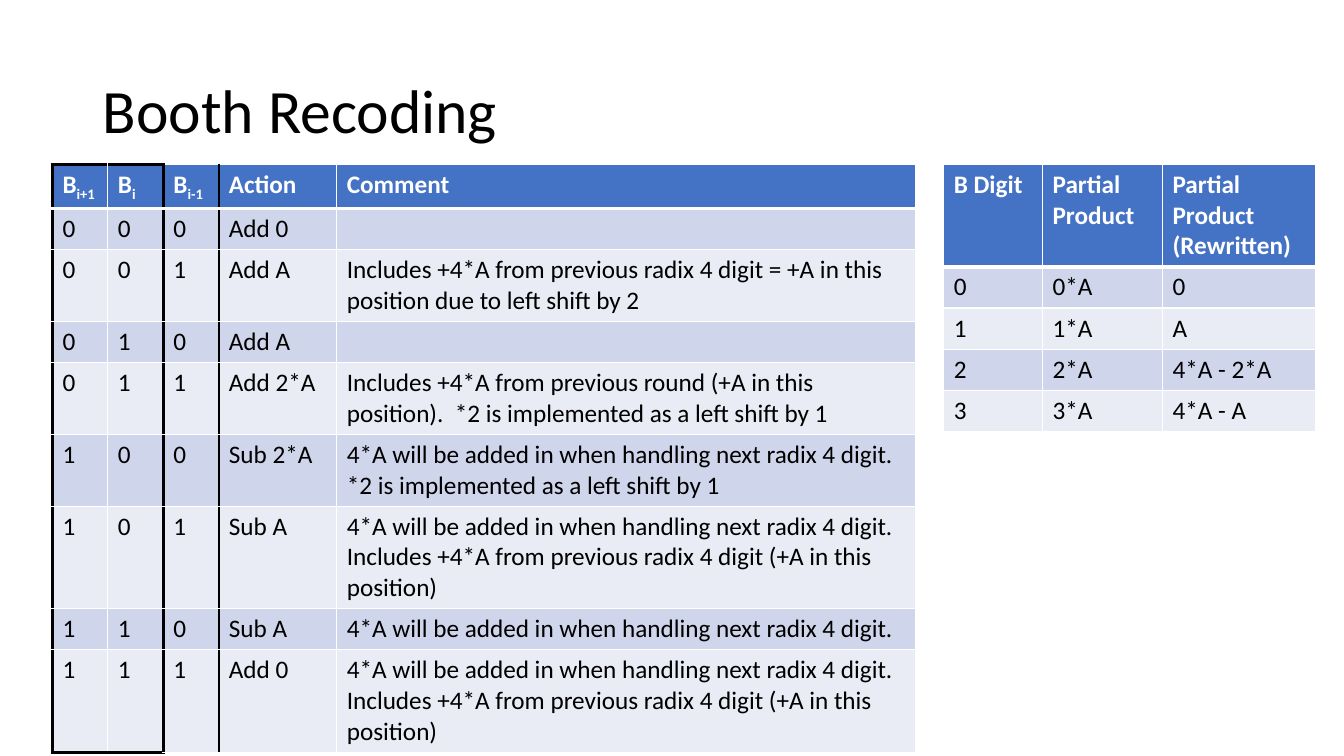
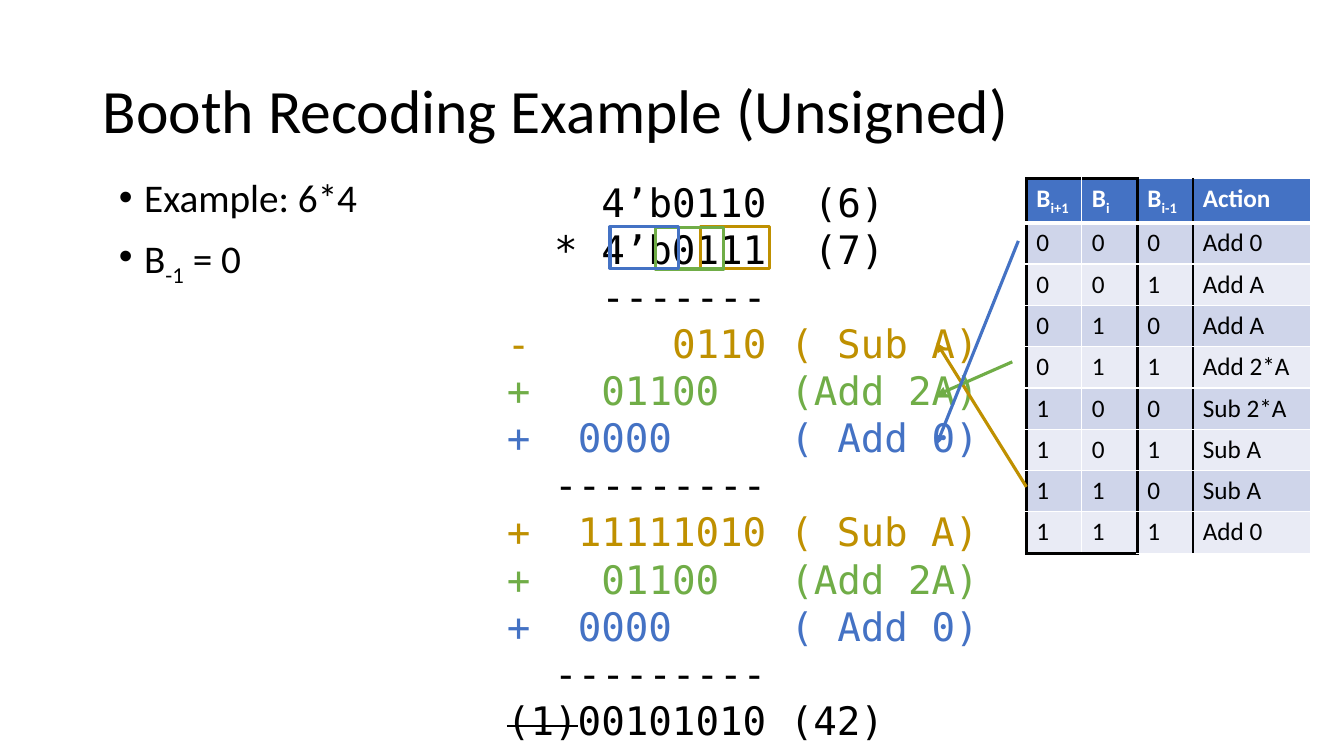
from lxml import etree
from pptx import Presentation
from pptx import util as u
from pptx.dml import color
from pptx.enum import shapes, text
from pptx.oxml import ns

# Shared look
BLACK, WHITE = "000000", "FFFFFF"
BLUE, GREEN, GOLD = "4472C4", "70AD47", "BF9000"
BANDS = ["CFD5EA", "E9EBF5"]
SANS, MONO = "Calibri", "DejaVu Sans Mono"
ROW = 0.41
SUB = ("baseline", "-25000")
STRIKE = ("strike", "sngStrike")

# Content: text between bars is set as subscript or struck out
HEADS = ["B|i+1|", "B|i|", "B|i-1|", "Action", "Comment"]
ACTIONS = ["Add 0", "Add A", "Add A", "Add 2*A",
           "Sub 2*A", "Sub A", "Sub A", "Add 0"]
NEXT = "4*A will be added in when handling next radix 4 digit."
PRIOR = "Includes +4*A from previous radix 4 digit"
SHIFT = "*2 is implemented as a left shift by 1"
NOTES = [
    "",
    f"{PRIOR} = +A in this position due to left shift by 2",
    "",
    f"Includes +4*A from previous round (+A in this position).  {SHIFT}",
    f"{NEXT}  {SHIFT}",
    f"{NEXT}  {PRIOR} (+A in this position)",
    NEXT,
    f"{NEXT} {PRIOR} (+A in this position)",
]
BOOTH = [HEADS] + [[*f"{n:03b}", act, note]
                   for n, (act, note) in enumerate(zip(ACTIONS, NOTES))]
WIDTHS = [0.55, 0.55, 0.55, 1.17, 5.74]
DIGITS = [
    ["B Digit", "Partial Product", "Partial Product (Rewritten)"],
    ["0", "0*A", "0"],
    ["1", "1*A", "A"],
    ["2", "2*A", "4*A - 2*A"],
    ["3", "3*A", "4*A - A"],
]
POINTS = ["Example: 6*4", "B|-1| = 0"]

# Worked sum: colour, then each piece with its character column
RULE = (BLACK, (2, "---------"))
ADD_TWO = (GREEN, (0, "+"), (4, "01100"), (12, "(Add 2A)"))
ADD_NONE = (BLUE, (0, "+"), (3, "0000"), (12, "( Add 0)"))
SUM = [
    (BLACK, (4, "4’b0110"), (13, "(6)")),
    (BLACK, (2, "* 4’b0111"), (13, "(7)")),
    (BLACK, (4, "-------")),
    (GOLD, (0, "-"), (7, "0110 ( Sub A)")),
    ADD_TWO,
    ADD_NONE,
    RULE,
    (GOLD, (0, "+"), (3, "11111010 ( Sub A)")),
    ADD_TWO,
    ADD_NONE,
    RULE,
    (BLACK, (0, "|(1)|00101010 (42)")),
]
FRAMES = [(GOLD, 6.95, 2.25), (GREEN, 6.5, 2.26), (BLUE, 6.05, 2.25)]
ARROWS = [(GOLD, 10.18, 4.83, 3.4), (GREEN, 10.04, 3.59, 3.92),
          (BLUE, 10.1, 2.39, 4.41)]
TIP = 9.29


def rgb(code):
    return color.RGBColor.from_string(code)


def inches(*nums):
    return [u.Inches(n) for n in nums]


def place(shape, *box):
    shape.left, shape.top, shape.width, shape.height = inches(*box)


def write(par, line, size, tone=BLACK, face=SANS, bold=False, mark=SUB):
    for n, part in enumerate(line.split("|")):
        if not part:
            continue
        run = par.add_run()
        run.text = part
        font = run.font
        font.size, font.name, font.bold = u.Pt(size), face, bold
        font.color.rgb = rgb(tone)
        if n % 2:
            run._r.get_or_add_rPr().set(*mark)


def start(layout, title):
    slide = deck.slides.add_slide(deck.slide_layouts[layout])
    head = slide.shapes.title
    place(head, 0.92, 0.4, 11.5, 1.45)
    frame = head.text_frame
    frame.auto_size = text.MSO_AUTO_SIZE.NONE
    frame.vertical_anchor = text.MSO_ANCHOR.MIDDLE
    par = frame.paragraphs[0]
    par.alignment, par.line_spacing = text.PP_ALIGN.LEFT, 0.9
    write(par, title, 44)
    return slide


# Table edges: a black box marks the first two columns of a Booth table
def upright(line, boxed):
    if boxed and line in (0, 2):
        return BLACK, 2.25
    return (BLACK, 1.5) if boxed and line == 3 else (WHITE, 1)


def level(line, col, last, boxed):
    if line == 1:
        return WHITE, 3
    if boxed and col < 2 and line in (0, last):
        return BLACK, 2.25
    return WHITE, 1


def edge(cell, sides):
    props = cell._tc.get_or_add_tcPr()
    for n, (side, (tone, width)) in enumerate(sides.items()):
        line = etree.Element(ns.qn(f"a:ln{side}"), w=str(u.Pt(width)))
        fill = etree.SubElement(line, ns.qn("a:solidFill"))
        etree.SubElement(fill, ns.qn("a:srgbClr"), val=tone)
        props.insert(n, line)


def grid(slide, left, top, rows, widths, boxed=False):
    last = len(rows)
    table = slide.shapes.add_table(
        last, len(widths),
        *inches(left, top, sum(widths), ROW * last)).table
    for col, width in zip(table.columns, widths):
        col.width = u.Inches(width)
    for r, row in enumerate(rows):
        table.rows[r].height = u.Inches(ROW)
        for c, words in enumerate(row[:len(widths)]):
            cell = table.cell(r, c)
            cell.fill.solid()
            cell.fill.fore_color.rgb = rgb(BANDS[(r - 1) % 2] if r else BLUE)
            write(cell.text_frame.paragraphs[0], words, 18,
                  BLACK if r else WHITE, bold=not r)
            edge(cell, {"L": upright(c, boxed),
                        "R": upright(c + 1, boxed),
                        "T": level(r, c, last, boxed),
                        "B": level(r + 1, c, last, boxed)})


def stroke(shape, tone):
    shape.line.color.rgb = rgb(tone)
    shape.line.width = u.Pt(2.25)


deck = Presentation()
deck.slide_width, deck.slide_height = inches(13.33, 7.5)

# Slide 1: both tables
slide = start(5, "Booth Recoding")
grid(slide, 0.52, 1.63, BOOTH, WIDTHS, boxed=True)
grid(slide, 9.36, 1.63, DIGITS, [0.98, 1.19, 1.52])

# Slide 2: bullets and short table
slide = start(1, "Booth Recoding Example (Unsigned)")
body = slide.placeholders[1]
place(body, 1.08, 1.72, 3.17, 4.76)
frame = body.text_frame
frame.auto_size = text.MSO_AUTO_SIZE.NONE
for n, point in enumerate(POINTS):
    par = frame.add_paragraph() if n else frame.paragraphs[0]
    par.line_spacing, par.space_before = 0.9, u.Pt(10)
    props = par._p.get_or_add_pPr()
    props.set("marL", str(u.Inches(0.25)))
    props.set("indent", str(u.Inches(-0.25)))
    write(par, point, 28)
grid(slide, 10.18, 1.77, BOOTH, WIDTHS[:4], boxed=True)

# Worked sum, with tab stops on the character columns
SIZE = 28
pitch = u.Pt(SIZE * 0.602)
box = slide.shapes.add_textbox(*inches(4.93, 1.72, 5.25, 5.76))
frame = box.text_frame
frame.word_wrap = True
for n, (tone, *parts) in enumerate(SUM):
    par = frame.add_paragraph() if n else frame.paragraphs[0]
    stops = [col for col, _ in parts if col]
    if stops:
        tabs = etree.SubElement(par._p.get_or_add_pPr(), ns.qn("a:tabLst"))
        for col in stops:
            etree.SubElement(tabs, ns.qn("a:tab"),
                             pos=str(col * pitch), algn="l")
    line = "".join("\t" * (col > 0) + part for col, part in parts)
    write(par, line, SIZE, tone, MONO, mark=STRIKE)

# Frames round the digit groups
for tone, left, top in FRAMES:
    rect = slide.shapes.add_shape(shapes.MSO_SHAPE.RECTANGLE,
                                  *inches(left, top, 0.68, 0.41))
    rect.shadow.inherit = False
    rect.fill.background()
    stroke(rect, tone)

# Arrows from table rows to steps
for tone, left, top, end in ARROWS:
    arrow = slide.shapes.add_connector(shapes.MSO_CONNECTOR.STRAIGHT,
                                       *inches(left, top, TIP, end))
    stroke(arrow, tone)
    etree.SubElement(arrow.line._get_or_add_ln(), ns.qn("a:tailEnd"),
                     type="triangle")
    etree.SubElement(arrow._element.spPr, ns.qn("a:effectLst"))

deck.save("out.pptx")
